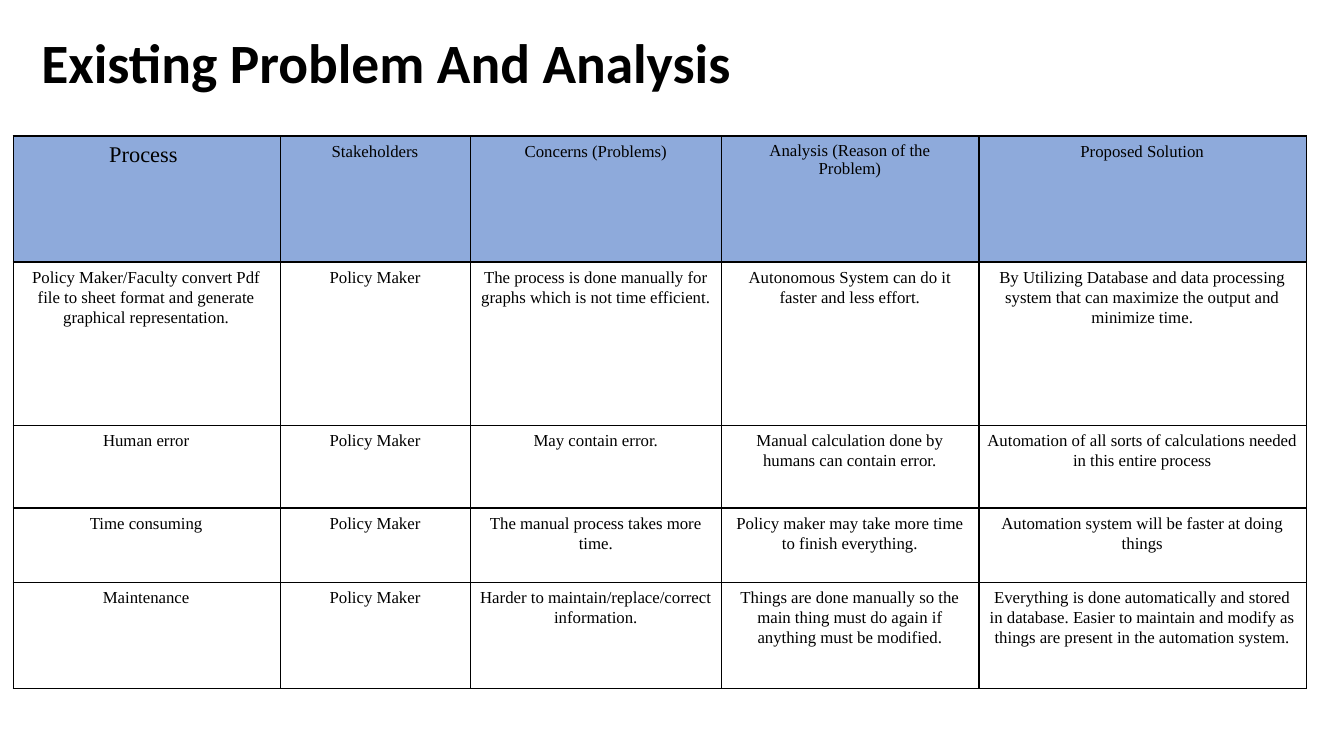
from lxml.etree import SubElement
from pptx import Presentation
from pptx.dml.color import RGBColor
from pptx.enum.text import MSO_ANCHOR, PP_ALIGN
from pptx.oxml.ns import qn
from pptx.util import Inches, Pt


def color(value):
    return RGBColor.from_string(value)


def add_borders(cell):
    properties = cell._tc.get_or_add_tcPr()
    for position, side in enumerate(("lnL", "lnR", "lnT", "lnB")):
        line = SubElement(properties, qn(f"a:{side}"), w=str(Pt(1)))
        properties.insert(position, line)
        fill = SubElement(line, qn("a:solidFill"))
        SubElement(fill, qn("a:srgbClr"), val="000000")


COLUMN_WIDTHS = [2.65, 1.89, 2.49, 2.55, 3.25]
ROW_HEIGHTS = [1.25, 1.62, 0.82, 0.74, 1.05]
ROWS = [
    ["Process ", "Stakeholders", "Concerns (Problems)",
     "Analysis (Reason of the\nProblem)", "Proposed Solution"],
    ["Policy Maker/Faculty convert Pdf file to sheet format and generate graphical representation.",
     "Policy Maker",
     "The process is done manually for graphs which is not time efficient.",
     "Autonomous System can do it faster and less effort.",
     "By Utilizing Database and data processing system that can maximize the output and minimize time."],
    ["Human error", "Policy Maker", "May contain error.",
     "Manual calculation done by humans can contain error.",
     "Automation of all sorts of calculations needed in this entire process"],
    ["Time consuming", "Policy Maker", "The manual process takes more time.",
     "Policy maker may take more time to finish everything.",
     "Automation system will be faster at doing things"],
    ["Maintenance", "Policy Maker", "Harder to maintain/replace/correct information.",
     "Things are done manually so the main thing must do again if anything must be modified.",
     "Everything is done automatically and stored in database. Easier to maintain and modify "
     "as things are present in the automation system."],
]

presentation = Presentation()
presentation.slide_width = Inches(13.33)
presentation.slide_height = Inches(7.5)
slide = presentation.slides.add_slide(presentation.slide_layouts[5])

title = slide.shapes.title
title.left, title.top = Inches(0.31), Inches(0.35)
title.width, title.height = Inches(12.11), Inches(1.15)
title_frame = title.text_frame
title_frame.vertical_anchor = MSO_ANCHOR.TOP
title_frame.margin_top = title_frame.margin_bottom = 0
paragraph = title_frame.paragraphs[0]
paragraph.alignment = PP_ALIGN.LEFT
paragraph.line_spacing = 0.9
run = paragraph.add_run()
run.text = "Existing Problem And Analysis"
run.font.name = "Calibri"
run.font.size = Pt(39.6)
run.font.bold = True
run.font.color.rgb = color("000000")

table = slide.shapes.add_table(
    len(ROWS), len(COLUMN_WIDTHS), Inches(0.13), Inches(1.35),
    Inches(sum(COLUMN_WIDTHS)), Inches(sum(ROW_HEIGHTS))).table
table.horz_banding = False
for column, width in zip(table.columns, COLUMN_WIDTHS):
    column.width = Inches(width)
for row, height in zip(table.rows, ROW_HEIGHTS):
    row.height = Inches(height)

for row_index, texts in enumerate(ROWS):
    for column_index, text in enumerate(texts):
        cell = table.cell(row_index, column_index)
        cell.margin_left, cell.margin_right = Inches(0.07), Inches(0.08)
        cell.margin_top = cell.margin_bottom = Inches(0.05)
        cell.vertical_anchor = MSO_ANCHOR.TOP
        cell.fill.solid()
        cell.fill.fore_color.rgb = color("8EAADB" if row_index == 0 else "FFFFFF")
        add_borders(cell)
        lines = text.split("\n")
        for line_index, line in enumerate(lines):
            if line_index:
                paragraph = cell.text_frame.add_paragraph()
            else:
                paragraph = cell.text_frame.paragraphs[0]
            paragraph.alignment = PP_ALIGN.CENTER
            paragraph.line_spacing = 1.07 if len(lines) == 1 else 1.0
            run = paragraph.add_run()
            run.text = line
            run.font.name = "Times New Roman"
            run.font.size = Pt(16 if row_index == column_index == 0 else 12)
            run.font.bold = False
            run.font.color.rgb = color("000000")

presentation.save("out.pptx")
